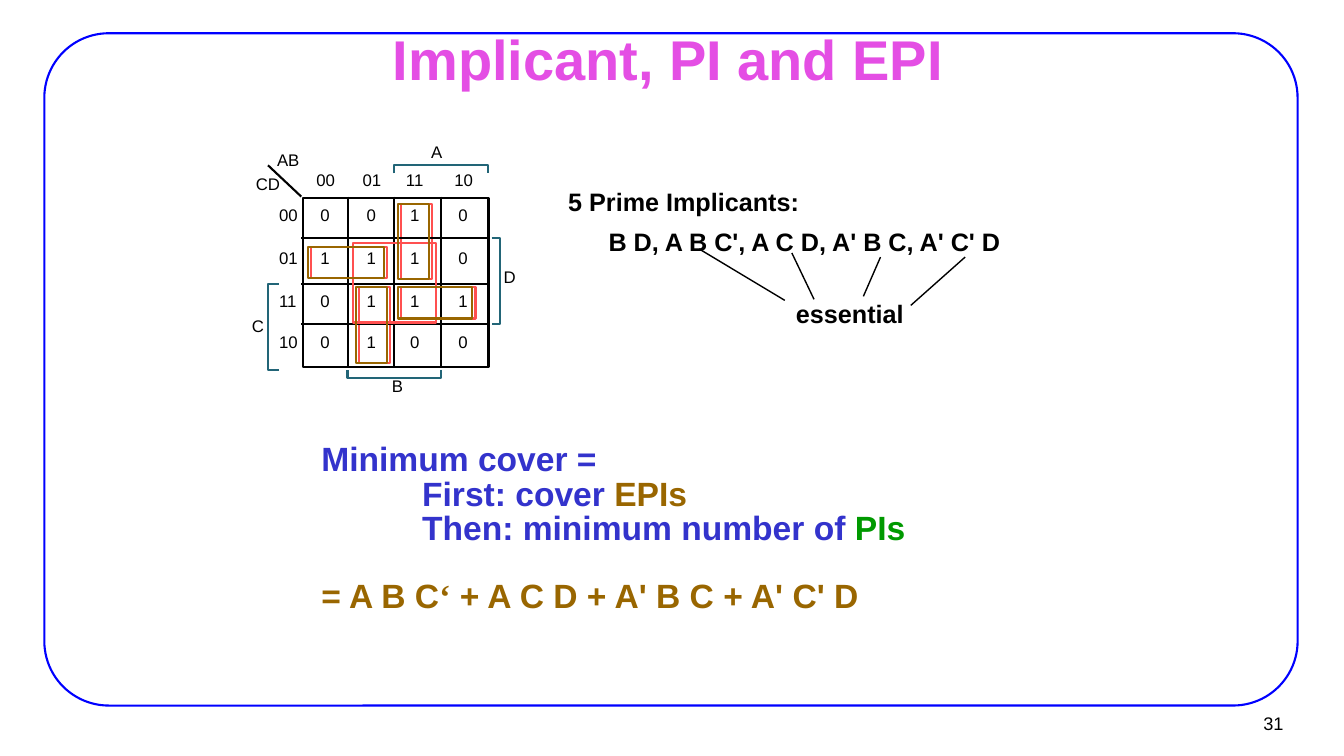
from dataclasses import dataclass

from pptx import Presentation
from pptx import util as u
from pptx.dml import color
from pptx.enum import shapes, text
from lxml import etree

PX = 9144  # one px is a hundredth of an inch
A_NS = "{http://schemas.openxmlformats.org/drawingml/2006/main}"


@dataclass(frozen=True)
class Theme:
    font: str = "Arial"
    quote_font: str = "Times New Roman"
    black: str = "000000"
    frame: str = "0000FF"
    title: str = "E44EE4"
    body: str = "3333CC"
    brown: str = "996600"
    green: str = "009900"
    red: str = "FF5050"
    bracket: str = "226577"
    title_size: int = 40
    body_size: int = 24
    note_size: int = 18
    number_size: int = 13
    map_size: int = 12
    thin: float = 1
    line: float = 1.5


def put(obj, **values):
    for name, value in values.items():
        setattr(obj, name, value)


class Deck:
    def __init__(self, prs, theme):
        self.t = theme
        self.s = prs.slides.add_slide(prs.slide_layouts[1])

    def place(self, sp, box):
        for name, value in zip(("left", "top", "width", "height"), box):
            setattr(sp, name, value * PX)

    def frame_text(self, tf, inset=(0, 0), wrap=False):
        side, top = (n * PX for n in inset)
        put(tf, margin_left=side, margin_right=side, margin_top=top,
            margin_bottom=top, word_wrap=wrap,
            auto_size=text.MSO_AUTO_SIZE.SHAPE_TO_FIT_TEXT,
            vertical_anchor=text.MSO_ANCHOR.TOP)

    def run(self, p, words, size, rgb, bold=False, font=None):
        r = p.add_run()
        r.text = words
        put(r.font, name=font or self.t.font, size=u.Pt(size), bold=bold)
        r.font.color.rgb = color.RGBColor.from_string(rgb)

    def title(self, box, words):
        sp = self.s.shapes.title
        self.place(sp, box)
        self.frame_text(sp.text_frame, (7, 3), True)
        p = sp.text_frame.paragraphs[0]
        p.alignment = text.PP_ALIGN.CENTER
        self.run(p, words, self.t.title_size, self.t.title, True)

    def body(self, box, lines):
        sp = self.s.placeholders[1]
        self.place(sp, box)
        tf = sp.text_frame
        self.frame_text(tf, (7, 3), True)
        for i, (indent, before, runs) in enumerate(lines):
            p = tf.add_paragraph() if i else tf.paragraphs[0]
            pPr = p._p.get_or_add_pPr()
            pPr.set("marL", str(indent * PX))
            pPr.set("indent", "0")
            etree.SubElement(pPr, A_NS + "buNone")
            put(p, line_spacing=0.85, space_before=u.Pt(before))
            for words, rgb, font in runs:
                self.run(p, words, self.t.body_size, rgb, True, font)

    def label(self, box, words, size, bold=False, inset=(0, 0),
              wrap=False, **paragraph):
        sp = self.s.shapes.add_textbox(*(n * PX for n in box))
        self.frame_text(sp.text_frame, inset, wrap)
        p = sp.text_frame.paragraphs[0]
        put(p, **paragraph)
        self.run(p, words, size, self.t.black, bold)
        return sp

    def outline(self, sp, rgb):
        sp.shadow.inherit = False
        sp.fill.background()
        sp.line.color.rgb = color.RGBColor.from_string(rgb)
        sp.line.width = u.Pt(self.t.line)
        return sp

    def box(self, box, rgb, kind=shapes.MSO_SHAPE.RECTANGLE):
        sp = self.s.shapes.add_shape(kind, *(n * PX for n in box))
        return self.outline(sp, rgb)

    def bracket(self, start, *points):
        fb = self.s.shapes.build_freeform(*start, scale=PX)
        fb.add_line_segments(points, close=False)
        self.outline(fb.convert_to_shape(), self.t.bracket)

    def line(self, ends, width):
        sp = self.s.shapes.add_connector(shapes.MSO_CONNECTOR.STRAIGHT,
                                         *(n * PX for n in ends))
        sp.line.color.rgb = color.RGBColor.from_string(self.t.black)
        sp.line.width = u.Pt(width)
        etree.SubElement(sp._element.spPr, A_NS + "effectLst")


def main():
    prs = Presentation()
    put(prs, slide_width=1334 * PX, slide_height=750 * PX)
    t = Theme()
    d = Deck(prs, t)

    # Frame behind the title, and slide number
    d.title((383, 21, 560, 72), "Implicant, PI and EPI")
    frame = d.box((44, 33, 1244, 667), t.frame,
                  shapes.MSO_SHAPE.ROUNDED_RECTANGLE)
    frame.adjustments[0] = 0.096
    d.s.shapes.title._element.addprevious(frame._element)
    number = d.label((1202, 699, 81, 37), "31", t.number_size,
                     inset=(9, 4), alignment=text.PP_ALIGN.RIGHT)
    put(number.text_frame, vertical_anchor=text.MSO_ANCHOR.MIDDLE,
        auto_size=text.MSO_AUTO_SIZE.NONE)

    # Prime implicants and pointers to the essential ones
    for box, words in (
            ((557, 186, 260, 31), "5 Prime Implicants:"),
            ((597, 226, 425, 31), "B D, A B C', A C D, A' B C, A' C' D"),
            ((783, 298, 135, 31), "essential")):
        d.label(box, words, t.note_size, True, (7, 3), True,
                line_spacing=0.85)
    for ends in ((694, 247, 779, 298), (786, 251, 808, 297),
                 (874, 255, 857, 294), (958, 255, 904, 303)):
        d.line(ends, t.thin)

    # Essential implicants, first in red under the grid
    essentials = ((309, 245, 75, 31), (398, 285, 74, 31),
                  (356, 285, 31, 75), (398, 202, 31, 75))
    for box in essentials:
        d.box(box, t.red)

    # Karnaugh map grid
    d.box((301, 196, 184, 168), t.black)
    for y in (236, 282, 321):
        d.line((299, y, 484, y), t.line)
    for x in (345, 391, 438):
        d.line((x, 195, x, 363), t.line)
    d.line((299, 195, 266, 164), t.line)

    # Map codes and cell values
    columns, rows = (318, 364, 407, 455), (203, 246, 288, 329)
    codes = ("00", "01", "11", "10")
    for x, code in zip(columns, codes):
        d.label((x - 4, 168, 23, 20), code, t.map_size)
    for y, code, values in zip(rows, codes, ("0010", "1110", "0111", "0100")):
        d.label((277, y, 23, 20), code, t.map_size)
        for x, value in zip(columns, values):
            d.label((x, y, 14, 20), value, t.map_size)

    # Variable names and their brackets
    for x, y, w, name in ((275, 149, 27, "AB"), (254, 172, 29, "CD"),
                          (428, 141, 16, "A"), (389, 373, 16, "B"),
                          (250, 313, 17, "C"), (500, 265, 17, "D")):
        d.label((x, y, w, 20), name, t.map_size)
    d.bracket((391, 172), (391, 164), (484, 164), (484, 172))
    d.bracket((277, 367), (266, 367), (266, 282), (277, 282))
    d.bracket((438, 367), (438, 375), (345, 375), (345, 367))
    d.bracket((488, 236), (496, 236), (496, 321), (488, 321))

    # Prime implicant B D, then the essential ones in brown
    d.box((350, 241, 83, 79), t.red)
    for x, y, w, h in essentials:
        d.box((x - 3, y, w, h), t.brown)

    # Minimum cover
    d.body((312, 438, 771, 176), (
        (0, 0, [("Minimum cover =", t.body, t.font)]),
        (100, 0, [("First: cover ", t.body, t.font),
                  ("EPIs", t.brown, t.font)]),
        (100, 0, [("Then: minimum number of ", t.body, t.font),
                  ("PIs", t.green, t.font)]),
        (0, 24, [("= A B C", t.brown, t.font),
                 ("‘", t.brown, t.quote_font),
                 (" + A C D + A' B C + A' C' D", t.brown, t.font)])))

    prs.save("out.pptx")


if __name__ == "__main__":
    main()
